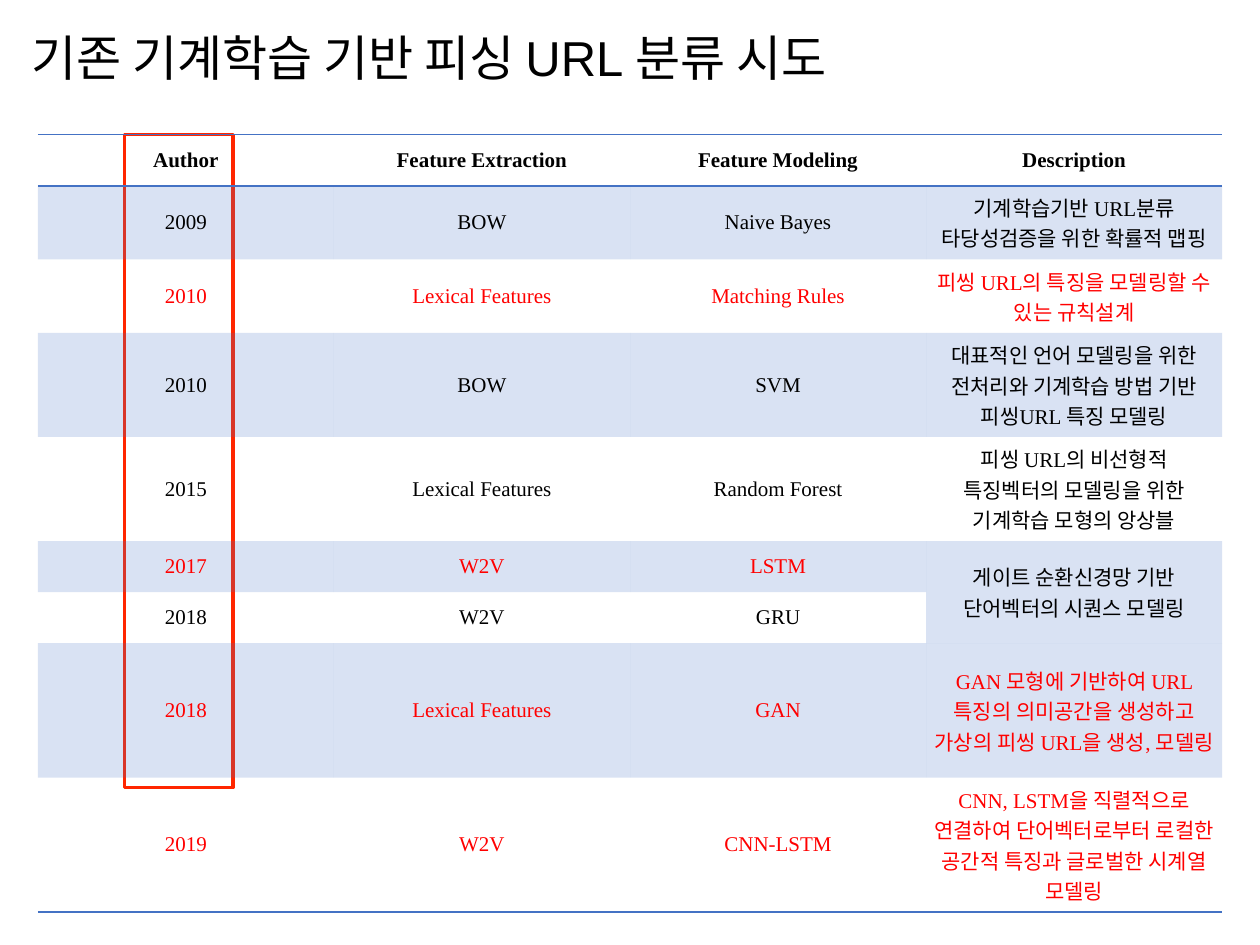
"""Build a slide that tabulates earlier machine learning attempts at phishing URL classification."""
from dataclasses import dataclass

from lxml import etree
from pptx import Presentation
from pptx.dml.color import RGBColor
from pptx.enum.shapes import MSO_SHAPE
from pptx.enum.text import MSO_ANCHOR, MSO_AUTO_SIZE, PP_ALIGN
from pptx.oxml.ns import qn
from pptx.util import Pt

RECTANGLE = MSO_SHAPE.RECTANGLE
MIDDLE = MSO_ANCHOR.MIDDLE
CENTER = PP_ALIGN.CENTER
LEFT = PP_ALIGN.LEFT
NO_AUTOFIT = MSO_AUTO_SIZE.NONE

COLORS = {"text": "000000", "highlight": "FF0000", "frame": "FF2600", "accent": "4472C4"}
TITLE_FONT = "Arial"
TABLE_FONT = "Times New Roman"
PLAIN_TABLE_STYLE = "{2D5ABB26-0587-4C30-8999-92F81FD0307C}"
TITLE_ONLY_LAYOUT = 5
INSET = Pt(3.6)
TABLE_LEFT, TABLE_TOP = Pt(21.6), Pt(77)
COLUMN_WIDTH, ROW_HEIGHT = Pt(169.2), Pt(29.2)
HEADERS = ("Author", "Feature Extraction", "Feature Modeling", "Description")


@dataclass(frozen=True)
class Study:
    """One table row; a highlighted row is red, and a description may span rows."""

    year: str
    extraction: str
    modeling: str
    description: str = ""
    highlighted: bool = False
    description_rows: int = 1
    description_color: str = ""


STUDIES = (
    Study("2009", "BOW", "Naive Bayes", "기계학습기반 URL분류 타당성검증을 위한 확률적 맵핑"),
    Study("2010", "Lexical Features", "Matching Rules",
          "피씽 URL의 특징을 모델링할 수 있는 규칙설계", highlighted=True),
    Study("2010", "BOW", "SVM",
          "대표적인 언어 모델링을 위한 전처리와 기계학습 방법 기반 피씽URL 특징 모델링"),
    Study("2015", "Lexical Features", "Random Forest",
          "피씽 URL의 비선형적 특징벡터의 모델링을 위한 기계학습 모형의 앙상블"),
    Study("2017", "W2V", "LSTM", "게이트 순환신경망 기반 단어벡터의 시퀀스 모델링",
          highlighted=True, description_rows=2, description_color="text"),
    Study("2018", "W2V", "GRU"),
    Study("2018", "Lexical Features", "GAN",
          "GAN 모형에 기반하여 URL 특징의 의미공간을 생성하고 가상의 피씽 URL을 생성, 모델링",
          highlighted=True),
    Study("2019", "W2V", "CNN-LSTM",
          "CNN, LSTM을 직렬적으로 연결하여 단어벡터로부터 로컬한 공간적 특징과 글로벌한 시계열 모델링",
          highlighted=True),
)


def format_paragraph(paragraph, font_name: str, size: float, color: str,
                     alignment, bold: bool = False) -> None:
    """Align a paragraph and style its runs."""
    paragraph.alignment = alignment
    for run in paragraph.runs:
        run.font.name = font_name
        run.font.size = Pt(size)
        run.font.bold = bold
        run.font.color.rgb = RGBColor.from_string(COLORS[color])


def add_border(cell, side: str) -> None:
    """Draw a one-point accent border on one side of a cell."""
    properties = cell._tc.get_or_add_tcPr()
    line = etree.SubElement(properties, qn(f"a:{side}"), w=str(Pt(1)))
    fill = etree.SubElement(line, qn("a:solidFill"))
    etree.SubElement(fill, qn("a:srgbClr"), val=COLORS["accent"])


def fill_band(cell) -> None:
    """Fill a cell with the accent colour at 20 percent opacity."""
    cell.fill.solid()
    cell.fill.fore_color.rgb = RGBColor.from_string(COLORS["accent"])
    color = cell._tc.tcPr.find(qn("a:solidFill")).find(qn("a:srgbClr"))
    etree.SubElement(color, qn("a:alpha"), val="20000")


def write_cell(cell, text: str, color: str, bold: bool = False,
               borders: tuple[str, ...] = (), banded: bool = False) -> None:
    """Write and style one table cell."""
    cell.text_frame.text = text
    cell.vertical_anchor = MIDDLE
    cell.margin_left = cell.margin_right = INSET
    cell.margin_top = cell.margin_bottom = INSET
    format_paragraph(cell.text_frame.paragraphs[0], TABLE_FONT, 12, color, CENTER, bold)
    for side in borders:
        add_border(cell, side)
    if banded:
        fill_band(cell)
    else:
        cell.fill.background()


def add_title(slide, text: str) -> None:
    """Place and format the title placeholder."""
    title = slide.shapes.title
    title.left, title.top, title.width, title.height = Pt(14.4), Pt(0.7), Pt(676.8), Pt(67.7)
    frame = title.text_frame
    frame.text = text
    frame.word_wrap = True
    frame.auto_size = NO_AUTOFIT
    frame.vertical_anchor = MIDDLE
    frame.margin_left = frame.margin_right = INSET
    frame.margin_top = frame.margin_bottom = INSET
    paragraph = frame.paragraphs[0]
    paragraph.line_spacing = 0.9
    format_paragraph(paragraph, TITLE_FONT, 28, "text", LEFT)


def add_year_frame(slide) -> None:
    """Outline the year column."""
    shape = slide.shapes.add_shape(RECTANGLE, Pt(71.3), TABLE_TOP, Pt(61.9), Pt(373))
    shape.shadow.inherit = False
    shape.fill.background()
    shape.line.color.rgb = RGBColor.from_string(COLORS["frame"])
    shape.line.width = Pt(2)


def add_study_table(slide) -> None:
    """Add the table of studies with banded rows and horizontal rules."""
    row_count, column_count = len(STUDIES) + 1, len(HEADERS)
    frame = slide.shapes.add_table(row_count, column_count, TABLE_LEFT, TABLE_TOP,
                                   COLUMN_WIDTH * column_count, ROW_HEIGHT * row_count)
    table = frame.table
    table.first_row = table.horz_banding = False
    table._tbl.tblPr.find(qn("a:tableStyleId")).text = PLAIN_TABLE_STYLE
    for column in table.columns:
        column.width = COLUMN_WIDTH
    for row in table.rows:
        row.height = ROW_HEIGHT

    for column, header in enumerate(HEADERS):
        write_cell(table.cell(0, column), header, "text", True, ("lnT", "lnB"))
    for row, study in enumerate(STUDIES, start=1):
        color = "highlight" if study.highlighted else "text"
        borders = ("lnB",) if row == len(STUDIES) else ()
        banded = row % 2 == 1
        for column, text in enumerate((study.year, study.extraction, study.modeling)):
            write_cell(table.cell(row, column), text, color, borders=borders, banded=banded)
        if study.description:
            cell = table.cell(row, column_count - 1)
            write_cell(cell, study.description, study.description_color or color,
                       borders=borders, banded=banded)
            if study.description_rows > 1:
                cell.merge(table.cell(row + study.description_rows - 1, column_count - 1))


def main() -> None:
    """Build and save the presentation."""
    presentation = Presentation()
    presentation.slide_width, presentation.slide_height = Pt(720), Pt(540)
    slide = presentation.slides.add_slide(presentation.slide_layouts[TITLE_ONLY_LAYOUT])
    add_title(slide, "기존 기계학습 기반 피싱 URL 분류 시도")
    add_year_frame(slide)
    add_study_table(slide)
    presentation.save("out.pptx")


if __name__ == "__main__":
    main()
